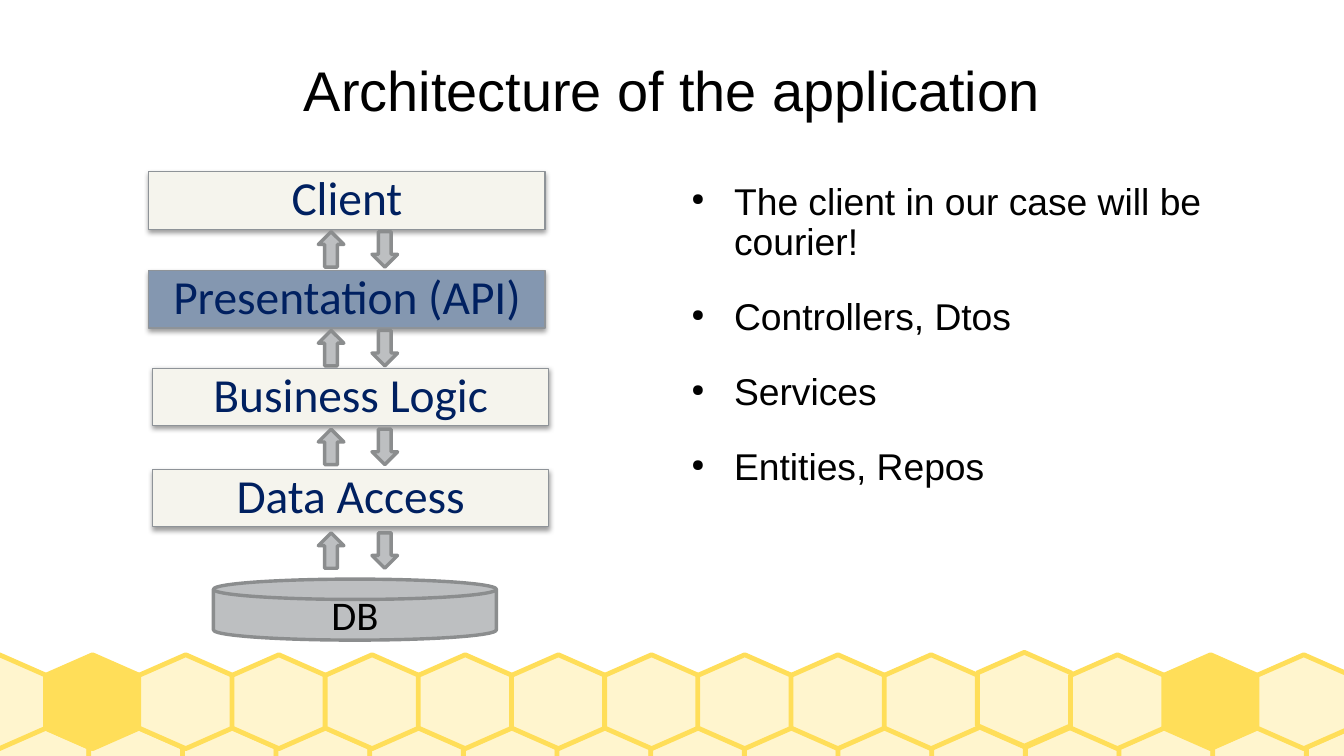
from dataclasses import dataclass

from lxml import etree
from pptx import Presentation
from pptx.dml.color import RGBColor
from pptx.enum.shapes import MSO_SHAPE
from pptx.enum.text import MSO_ANCHOR, PP_ALIGN
from pptx.oxml.ns import qn
from pptx.util import Inches, Pt

RECTANGLE = MSO_SHAPE.RECTANGLE
UP_ARROW = MSO_SHAPE.UP_ARROW
DISK = MSO_SHAPE.FLOWCHART_MAGNETIC_DISK
CENTER, LEFT = PP_ALIGN.CENTER, PP_ALIGN.LEFT
MIDDLE, TOP = MSO_ANCHOR.MIDDLE, MSO_ANCHOR.TOP

COLUMNS, ROWS = 110.2, 62
CELL = Inches(0.1)
HEXAGON_CORNERS = [(0.5, 0), (0, 0.22), (0, 0.78), (0.5, 1), (1, 0.78), (1, 0.22)]
HEXAGON_SIZE = 7.7
HEXAGON_COUNT = 15
FILLED_HEXAGONS = (1, 13)
RAISED_HEXAGON = 11
LAYERS = [
    ("Client", 12.2, 14.1, 19),
    ("Presentation (API)", 12.2, 22.2, 27.1),
    ("Business Logic", 12.5, 30.2, 35.2),
    ("Data Access", 12.5, 38.5, 43.7),
]
HIGHLIGHTED_LAYER = "Presentation (API)"
ARROWS = [(26.1, 0), (30.5, 180)]
NOTES = [
    "The client in our case will be courier!",
    "Controllers, Dtos",
    "Services",
    "Entities, Repos",
]


@dataclass(frozen=True)
class Theme:
    text: str = "000000"
    layer_text: str = "002060"
    layer: str = "F5F4ED"
    highlight: str = "8497B0"
    layer_line: str = "8E9398"
    gray: str = "BDBFC1"
    gray_line: str = "8B8D8E"
    honey: str = "FFDE59"
    cream: str = "FFF5CE"
    heading_font: str = "Arial"
    diagram_font: str = "Calibri"
    title_size: float = 33
    body_size: float = 22
    layer_size: float = 28
    database_size: float = 24


def grid(*lengths):
    return [round(length * CELL) for length in lengths]


class SlideBuilder:
    def __init__(self, slide, theme):
        self.slide = slide
        self.theme = theme

    def paint(self, shape, fill, line, width):
        shape.shadow.inherit = False
        shape.fill.solid()
        shape.fill.fore_color.rgb = RGBColor.from_string(fill)
        shape.line.color.rgb = RGBColor.from_string(line)
        shape.line.width = Pt(width)

    def set_text(self, shape, lines, font, size, color, alignment=CENTER,
                 anchor=MIDDLE, margins=(0, 0), spacing=None):
        frame = shape.text_frame
        side, edge = grid(*margins)
        frame_format = {
            "word_wrap": True, "vertical_anchor": anchor,
            "margin_left": side, "margin_right": side,
            "margin_top": edge, "margin_bottom": edge,
        }
        for name, value in frame_format.items():
            setattr(frame, name, value)
        frame.text = "\n".join(lines)
        paragraph_format = {"alignment": alignment, "line_spacing": 0.9, **(spacing or {})}
        font_format = {"name": font, "size": Pt(size)}
        for paragraph in frame.paragraphs:
            for name, value in paragraph_format.items():
                setattr(paragraph, name, value)
            run_font = paragraph.runs[0].font
            for name, value in font_format.items():
                setattr(run_font, name, value)
            run_font.color.rgb = RGBColor.from_string(color)

    def hexagon(self, left, top, fill):
        points = [
            tuple(grid(left + x * HEXAGON_SIZE, top + y * HEXAGON_SIZE))
            for x, y in HEXAGON_CORNERS
        ]
        builder = self.slide.shapes.build_freeform(*points[0], scale=1.0)
        builder.add_line_segments(points[1:], close=True)
        self.paint(builder.convert_to_shape(), fill, self.theme.honey, 2.83)

    def honeycomb(self):
        for index in range(HEXAGON_COUNT):
            self.hexagon(-0.4 + 7.68 * index, 59.6, self.theme.cream)
        for index in range(HEXAGON_COUNT):
            top = 53.5 if index == RAISED_HEXAGON else 53.7
            fill = self.theme.honey if index in FILLED_HEXAGONS else self.theme.cream
            self.hexagon(-3.9 + 7.64 * index, top, fill)

    def title(self, text):
        box = self.slide.shapes.add_textbox(*grid(5.5, 2.5, 99.2, 10.4))
        self.set_text(box, [text], self.theme.heading_font, self.theme.title_size,
                      self.theme.text)

    def bullets(self, lines):
        box = self.slide.shapes.add_textbox(*grid(55.5, 15, 47, 36))
        spacing = {"space_before": Pt(10), "space_after": Pt(10.6)}
        self.set_text(box, lines, self.theme.heading_font, self.theme.body_size,
                      self.theme.text, LEFT, TOP, spacing=spacing)
        for paragraph in box.text_frame.paragraphs:
            properties = paragraph._p.get_or_add_pPr()
            properties.set("marL", str(Inches(0.47)))
            properties.set("indent", str(Inches(-0.35)))
            color = etree.SubElement(properties, qn("a:buClr"))
            etree.SubElement(color, qn("a:srgbClr"), val=self.theme.text)
            etree.SubElement(properties, qn("a:buSzPct"), val="45000")
            etree.SubElement(properties, qn("a:buChar"), char="●")

    def shadow(self, shape):
        effects = shape._element.spPr.find(qn("a:effectLst"))
        outer = etree.SubElement(
            effects, qn("a:outerShdw"), blurRad=str(Pt(3.1)), dist=str(Pt(1.6)),
            dir="5400000", algn="t", rotWithShape="0",
        )
        color = etree.SubElement(outer, qn("a:srgbClr"), val=self.theme.text)
        etree.SubElement(color, qn("a:alpha"), val="38000")

    def layer(self, text, left, top):
        shape = self.slide.shapes.add_shape(RECTANGLE, *grid(left, top, 32.5, 4.7))
        fill = self.theme.highlight if text == HIGHLIGHTED_LAYER else self.theme.layer
        self.paint(shape, fill, self.theme.layer_line, 0.75)
        self.shadow(shape)
        self.set_text(shape, [text], self.theme.diagram_font, self.theme.layer_size,
                      self.theme.layer_text, margins=(1, 0.5))

    def arrow_pair(self, top):
        for left, rotation in ARROWS:
            shape = self.slide.shapes.add_shape(UP_ARROW, *grid(left, top, 2.1, 2.9))
            shape.rotation = rotation
            self.paint(shape, self.theme.gray, self.theme.gray_line, 2)

    def database(self, text):
        shape = self.slide.shapes.add_shape(DISK, *grid(17.5, 47.5, 23.2, 5))
        self.paint(shape, self.theme.gray, self.theme.gray_line, 2)
        self.set_text(shape, [text], self.theme.diagram_font, self.theme.database_size,
                      self.theme.text, margins=(1, 0.5), spacing={"line_spacing": 1.0})


def main():
    presentation = Presentation()
    presentation.slide_width, presentation.slide_height = grid(COLUMNS, ROWS)
    slide = presentation.slides.add_slide(presentation.slide_layouts[6])
    builder = SlideBuilder(slide, Theme())
    builder.honeycomb()
    builder.title("Architecture of the application")
    builder.bullets(NOTES)
    for text, left, top, arrow_top in LAYERS:
        builder.layer(text, left, top)
        builder.arrow_pair(arrow_top)
    builder.database("DB")
    presentation.save("out.pptx")


if __name__ == "__main__":
    main()
